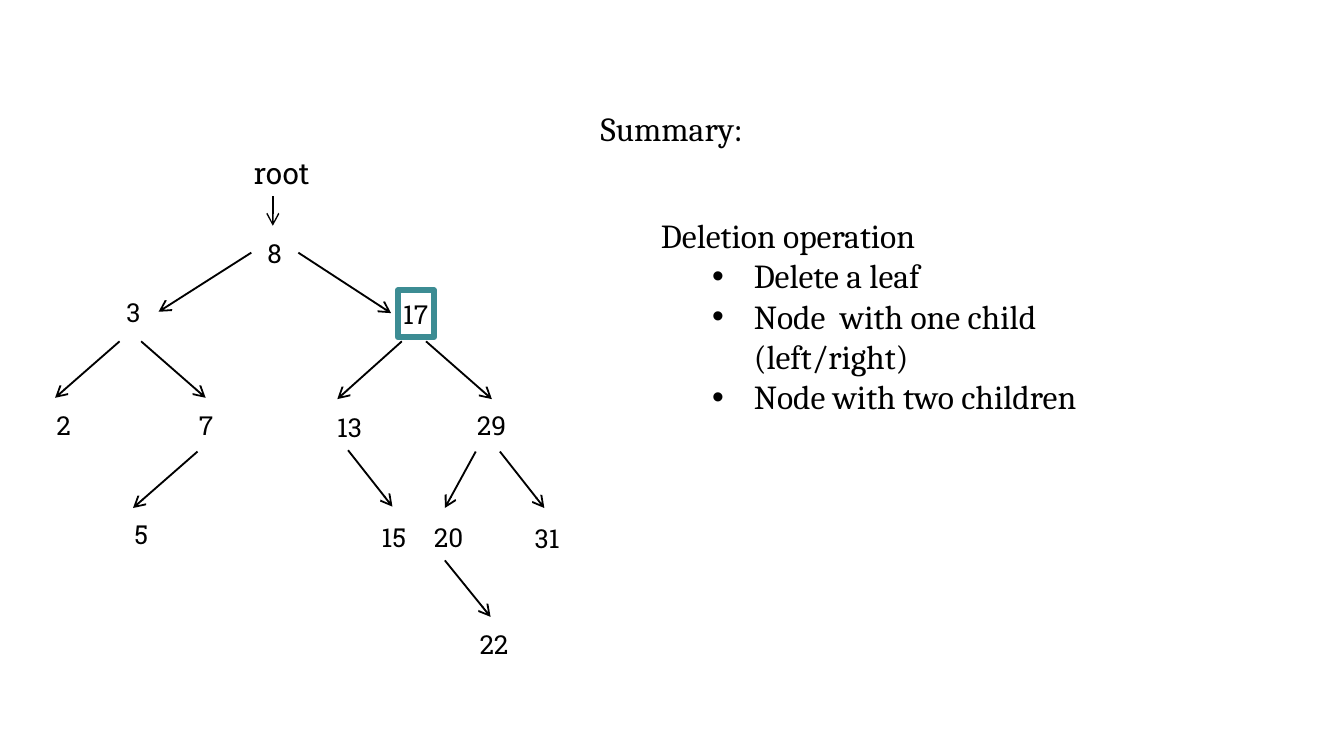
"""Build a slide that shows a binary search tree beside a summary of deletion."""
from typing import NamedTuple

from lxml import etree
from pptx import Presentation
from pptx import util as u
from pptx.dml.color import RGBColor
from pptx.enum import shapes, text
from pptx.oxml.ns import qn

EMU_PER_PX = 9144
SLIDE_WIDTH = 1000
BLACK = RGBColor(0x00, 0x00, 0x00)
WHITE = RGBColor(0xFF, 0xFF, 0xFF)
TEAL = RGBColor(0x3C, 0x8C, 0x93)
TREE_FONT = "Roboto Slab"
SUMMARY_FONT = "Cambria"


class Box(NamedTuple):
    left: int
    top: int
    width: int
    height: int


class Label(NamedTuple):
    words: str
    box: Box
    size: int = 14
    inset: int = 10
    font: str = TREE_FONT


class Arrow(NamedTuple):
    x1: int
    y1: int
    x2: int
    y2: int
    weight: float = 1


DIGIT_INSET = 7
LABELS = [
    Label("root", Box(179, 110, 69, 44), size=16),
    Label("8", Box(192, 172, 17, 44), inset=DIGIT_INSET),
    Label("3", Box(87, 216, 17, 44), inset=DIGIT_INSET),
    Label("17", Box(300, 217, 36, 41), inset=0),
    Label("2", Box(35, 300, 17, 44), inset=DIGIT_INSET),
    Label("7", Box(141, 300, 17, 44), inset=DIGIT_INSET),
    Label("13", Box(241, 301, 44, 44)),
    Label("29", Box(345, 300, 49, 44)),
    Label("5", Box(93, 381, 17, 44), inset=DIGIT_INSET),
    Label("15", Box(274, 383, 49, 44)),
    Label("20", Box(313, 383, 44, 44)),
    Label("31", Box(388, 384, 49, 44)),
    Label("22", Box(347, 463, 44, 44)),
    Label("Summary:", Box(437, 75, 132, 71), size=18, font=SUMMARY_FONT),
]
ARROWS = [
    Arrow(203, 146, 203, 168, weight=0.75),
    Arrow(187, 188, 118, 232),
    Arrow(222, 188, 291, 233),
    Arrow(89, 254, 41, 296),
    Arrow(105, 254, 153, 296),
    Arrow(299, 254, 251, 297),
    Arrow(317, 254, 366, 297),
    Arrow(147, 336, 99, 378),
    Arrow(259, 335, 292, 377),
    Arrow(354, 336, 331, 378),
    Arrow(372, 336, 405, 378),
    Arrow(331, 417, 365, 459),
]
DELETED_NODE = Box(296, 216, 27, 35)
OPERATION = Label("Deletion operation", Box(482, 155, 413, 131), size=18, font=SUMMARY_FONT)
CASES = ["Delete a leaf", "Node  with one child (left/right)", "Node with two children"]


def px(length: int) -> u.Emu:
    return u.Emu(length * EMU_PER_PX)


def add_run(paragraph, words: str, label: Label) -> None:
    run = paragraph.add_run()
    run.text = words
    run.font.name = label.font
    run.font.size = u.Pt(label.size)
    run.font.color.rgb = BLACK


def add_label(slide, label: Label):
    frame = slide.shapes.add_textbox(*map(px, label.box)).text_frame
    frame.word_wrap = True
    frame.vertical_anchor = text.MSO_ANCHOR.TOP
    frame.margin_left = px(label.inset)
    frame.margin_right = px(label.inset if label.inset != DIGIT_INSET else 0)
    frame.margin_top = frame.margin_bottom = px(5)
    add_run(frame.paragraphs[0], label.words, label)
    return frame


def add_case(frame, words: str) -> None:
    paragraph = frame.add_paragraph()
    paragraph.level = 1
    properties = paragraph._p.get_or_add_pPr()
    properties.set("marL", str(px(69)))
    properties.set("indent", str(px(-31)))
    etree.SubElement(properties, qn("a:buFont"), typeface="Arial")
    etree.SubElement(properties, qn("a:buChar"), char="•")
    add_run(paragraph, words, OPERATION)


def add_arrow(slide, arrow: Arrow) -> None:
    connector = slide.shapes.add_connector(
        shapes.MSO_CONNECTOR.STRAIGHT, px(arrow.x1), px(arrow.y1), px(arrow.x2), px(arrow.y2)
    )
    connector.line.color.rgb = BLACK
    connector.line.width = u.Pt(arrow.weight)
    etree.SubElement(connector.line._get_or_add_ln(), qn("a:tailEnd"), type="arrow")
    etree.SubElement(connector._element.spPr, qn("a:effectLst"))


def add_frame(slide, box: Box) -> None:
    shape = slide.shapes.add_shape(shapes.MSO_SHAPE.RECTANGLE, *map(px, box))
    shape.shadow.inherit = False
    shape.fill.background()
    shape.line.color.rgb = TEAL
    shape.line.width = u.Pt(3)


def main() -> None:
    presentation = Presentation()
    presentation.slide_width = px(SLIDE_WIDTH)
    presentation.slide_height = u.Emu(px(SLIDE_WIDTH) * 9 // 16)
    slide = presentation.slides.add_slide(presentation.slide_layouts[6])
    slide.background.fill.solid()
    slide.background.fill.fore_color.rgb = WHITE
    for label in LABELS:
        add_label(slide, label)
    for arrow in ARROWS:
        add_arrow(slide, arrow)
    add_frame(slide, DELETED_NODE)
    operation = add_label(slide, OPERATION)
    for case in CASES:
        add_case(operation, case)
    presentation.save("out.pptx")


if __name__ == "__main__":
    main()
